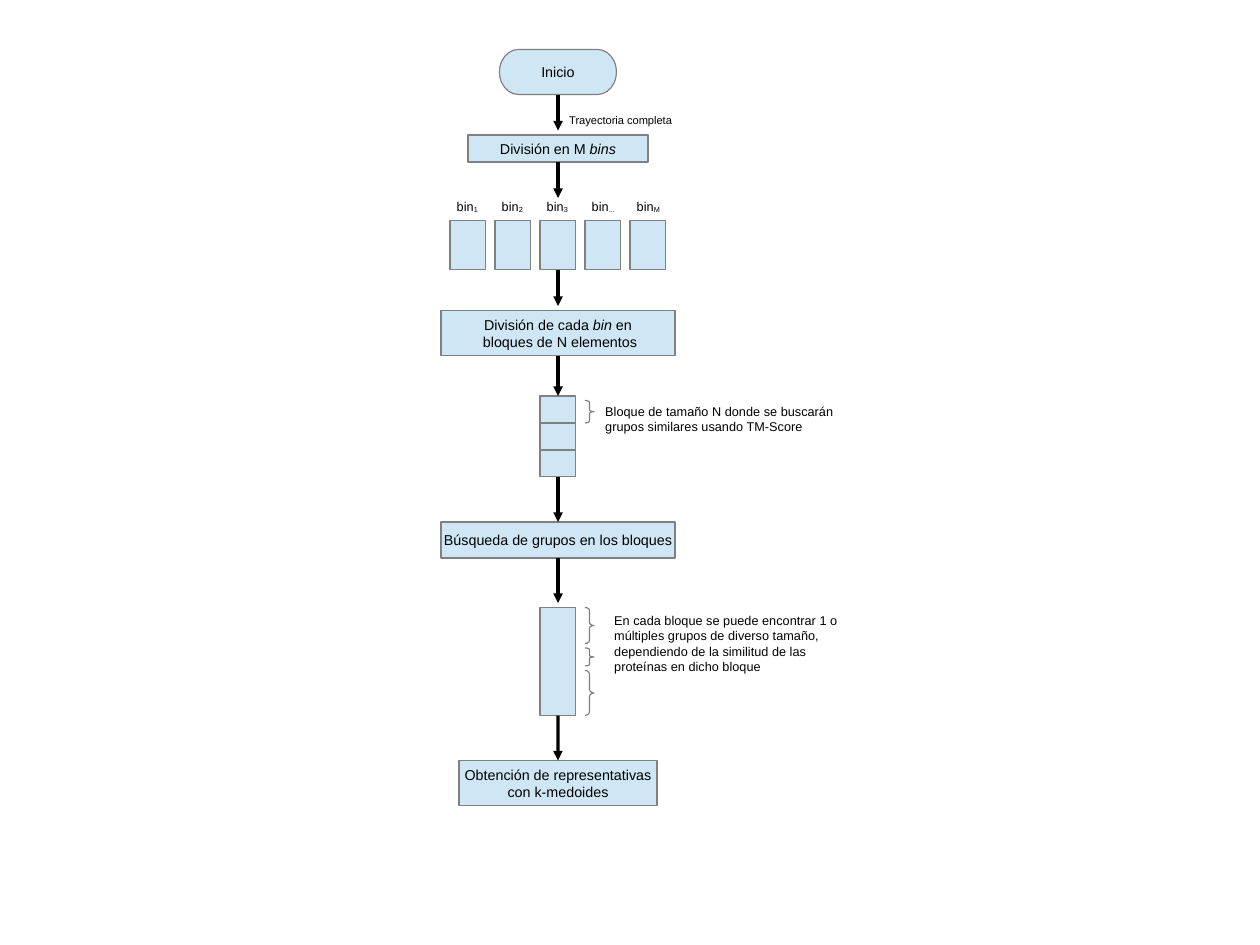
from pptx import Presentation
from pptx.dml.color import RGBColor
from pptx.enum.shapes import MSO_CONNECTOR, MSO_SHAPE
from pptx.enum.text import MSO_ANCHOR, PP_ALIGN
from pptx.oxml.ns import qn
from pptx.util import Cm, Pt
from lxml.etree import SubElement

AXIS = 12.4
BAR_W = 0.8
FILL, EDGE, INK = "CFE7F5", "808080", "000000"


def color(value):
    return RGBColor.from_string(value)


def format_run(r, size, italic=False):
    r.font.name = "Arial"
    r.font.size = Pt(size)
    r.font.italic = italic
    r.font.color.rgb = color(INK)


def add_box(s, left, top, width, height, kind=MSO_SHAPE.RECTANGLE):
    sp = s.shapes.add_shape(kind, Cm(left), Cm(top), Cm(width), Cm(height))
    sp.shadow.inherit = False
    sp.fill.solid()
    sp.fill.fore_color.rgb = color(FILL)
    sp.line.color.rgb = color(EDGE)
    sp.line.width = Pt(0)
    return sp


def add_step(s, top, width, height, lines, kind=MSO_SHAPE.FLOWCHART_PROCESS):
    sp = add_box(s, AXIS - width / 2, top, width, height, kind)
    tf = sp.text_frame
    tf.word_wrap = False
    tf.vertical_anchor = MSO_ANCHOR.MIDDLE
    for i, line in enumerate(lines):
        p = tf.paragraphs[0] if i == 0 else tf.add_paragraph()
        p.alignment = PP_ALIGN.CENTER
        for j, part in enumerate(line.split("*")):
            r = p.add_run()
            r.text = part
            format_run(r, 9, j % 2 == 1)
    return sp


def add_note(s, left, top, width, height, text, size=8):
    tb = s.shapes.add_textbox(Cm(left), Cm(top), Cm(width), Cm(height))
    tf = tb.text_frame
    tf.word_wrap = True
    tf.text = text
    p = tf.paragraphs[0]
    format_run(p.runs[0], size)
    return p


def add_brace(s, left, top, height, width=0.2):
    sp = s.shapes.add_shape(MSO_SHAPE.RIGHT_BRACE, Cm(left), Cm(top), Cm(width), Cm(height))
    sp.adjustments[0] = height / 12 / width
    sp.shadow.inherit = False
    sp.fill.background()
    sp.line.color.rgb = color(EDGE)
    sp.line.width = Pt(0)


def add_arrow(s, source, length, target=None):
    top = source.top + source.height
    cn = s.shapes.add_connector(MSO_CONNECTOR.STRAIGHT, Cm(AXIS), top, Cm(AXIS), top + Cm(length))
    cn.begin_connect(source, 2)
    if target is not None:
        cn.end_connect(target, 0)
    cn.line.color.rgb = color(INK)
    cn.line.width = Pt(0)
    SubElement(cn.line._get_or_add_ln(), qn("a:tailEnd"), type="triangle")
    SubElement(cn._element.spPr, qn("a:effectLst"))


def add_bins(s, left, top, names):
    bins = []
    for i, name in enumerate(names):
        p = add_note(s, left - 0.1 + i, top - 0.6, 1.1, 0.65, "bin")
        r = p.add_run()
        r.text = name
        format_run(r, 8)
        r._r.get_or_add_rPr().set("baseline", "-8000")
        bins.append(add_box(s, left + i, top, BAR_W, 1.1))
    return bins


def add_blocks(s, left, top):
    blocks = [add_box(s, left, top + i * 0.6, BAR_W, 0.6) for i in range(3)]
    add_brace(s, left + 1, top + 0.1, 0.5)
    add_note(s, left + 1.2, top + 0.05, 5.6, 0.9,
             "Bloque de tamaño N donde se buscarán grupos similares usando TM-Score")
    return blocks


def add_groups(s, left, top):
    bar = add_box(s, left, top, BAR_W, 2.4)
    for offset, height in ((0, 0.8), (0.9, 0.4), (1.4, 1)):
        add_brace(s, left + 1, top + offset, height)
    add_note(s, left + 1.4, top, 5.6, 1.52,
             "En cada bloque se puede encontrar 1 o múltiples grupos de diverso tamaño, "
             "dependiendo de la similitud de las proteínas en dicho bloque")
    return bar


def add_flowchart(s):
    bar_left = AXIS - BAR_W / 2
    start = add_step(s, 1.1, 2.6, 1, ["Inicio"], MSO_SHAPE.FLOWCHART_TERMINATOR)
    add_note(s, AXIS, 2.4, 6.2, 0.6, "Trayectoria completa", 7)
    split = add_step(s, 3, 4, 0.6, ["División en M *bins*"])
    bins = add_bins(s, bar_left - 2, 4.9, ["1", "2", "3", "...", "M"])
    divide = add_step(s, 6.9, 5.2, 1, ["División de cada *bin* en", " bloques de N elementos"])
    blocks = add_blocks(s, bar_left, 8.8)
    search = add_step(s, 11.6, 5.2, 0.8, ["Búsqueda de grupos en los bloques"])
    groups = add_groups(s, bar_left, 13.5)
    result = add_step(s, 16.9, 4.4, 1, ["Obtención de representativas", "con k-medoides"])

    for source in (start, split, bins[2]):
        add_arrow(s, source, 0.8)
    add_arrow(s, divide, 0.9, blocks[0])
    add_arrow(s, blocks[-1], 1, search)
    add_arrow(s, search, 1)
    add_arrow(s, groups, 1, result)


def main():
    prs = Presentation()
    prs.slide_width, prs.slide_height = Cm(28), Cm(21)
    s = prs.slides.add_slide(prs.slide_layouts[6])
    add_flowchart(s)
    prs.save("out.pptx")


if __name__ == "__main__":
    main()
